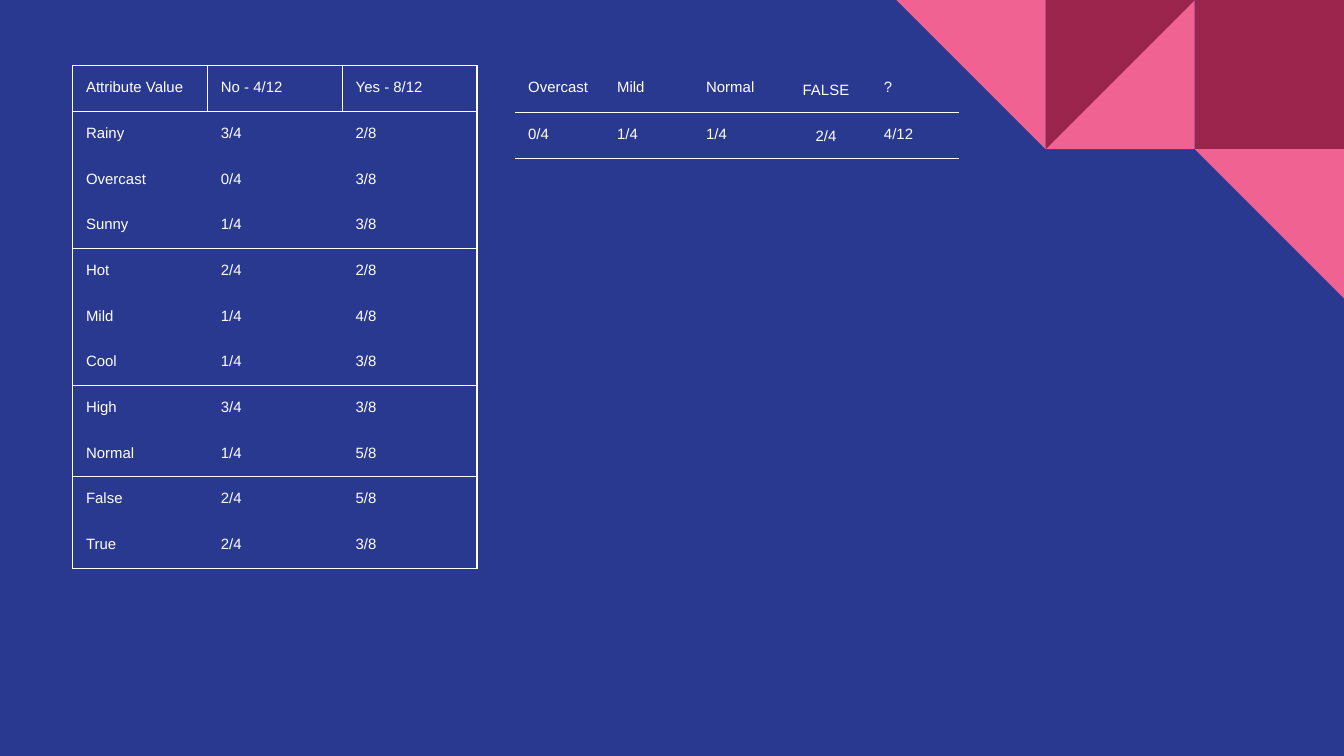
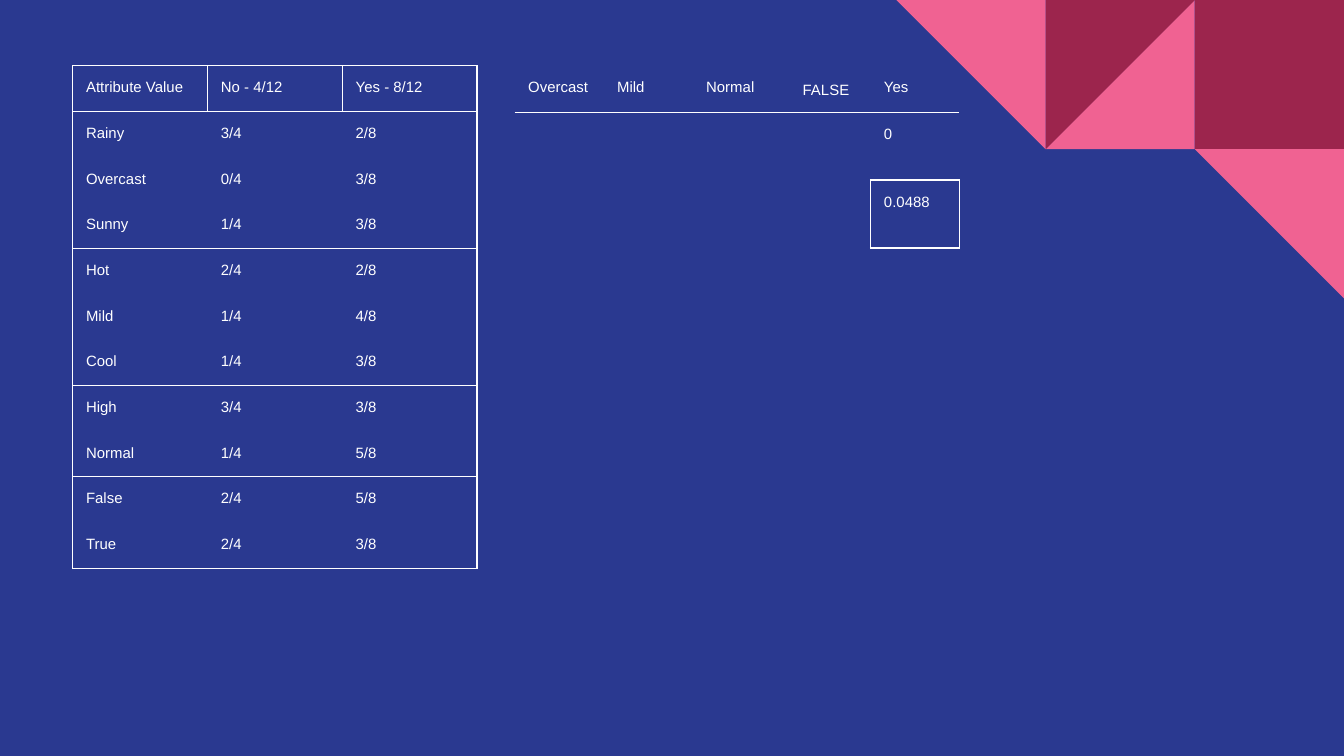
import pptx
import pptx.dml.color
import pptx.enum.shapes
import pptx.enum.text
import pptx.oxml
import pptx.oxml.ns
import pptx.util
from pptx.util import Inches

NAVY, PINK, WINE, WHITE = "2A3990", "F06292", "9C254D", "FFFFFF"
TILE = 1.11
SLIDE_W = 10
ROW_H = 0.34
NO_STYLE = "{2D5ABB26-0587-4C30-8999-92F81FD0307C}"
TEXT = {"size": pptx.util.Pt(8), "name": "Arial"}
MARGINS = dict.fromkeys(
    ("margin_left", "margin_right", "margin_top", "margin_bottom"), Inches(0.1))
CENTERED = {"alignment": pptx.enum.text.PP_ALIGN.CENTER, "line_spacing": 1.15}

HEADER = ["Attribute Value", "No - 4/12", "Yes - 8/12"]
ATTRIBUTES = [
    [["Rainy", "3/4", "2/8"], ["Overcast", "0/4", "3/8"], ["Sunny", "1/4", "3/8"]],
    [["Hot", "2/4", "2/8"], ["Mild", "1/4", "4/8"], ["Cool", "1/4", "3/8"]],
    [["High", "3/4", "3/8"], ["Normal", "1/4", "5/8"]],
    [["False", "2/4", "5/8"], ["True", "2/4", "3/8"]],
]
SAMPLE = ["Overcast", "Mild", "Normal", "FALSE"]


def color(value):
    return pptx.dml.color.RGBColor.from_string(value)


def apply(target, values):
    for name, value in values.items():
        setattr(target, name, value)


def add_tile(group, kind, col, row, fill, rotation=0, flip=False):
    left = SLIDE_W - (3 - col) * TILE
    sp = group.shapes.add_shape(kind, Inches(left), Inches(row * TILE),
                                Inches(TILE), Inches(TILE))
    sp.shadow.inherit = False
    sp.fill.solid()
    sp.fill.fore_color.rgb = color(fill)
    sp.line.fill.background()
    sp.rotation = rotation
    if flip:
        sp._element.spPr.xfrm.set("flipH", "1")


def add_corner(slide):
    shapes = pptx.enum.shapes.MSO_SHAPE
    triangle = shapes.RIGHT_TRIANGLE
    group = slide.shapes.add_group_shape()
    add_tile(group, shapes.RECTANGLE, 2, 0, WINE)
    add_tile(group, triangle, 1, 0, PINK, flip=True)
    add_tile(group, triangle, 1, 0, WINE, rotation=180, flip=True)
    add_tile(group, triangle, 0, 0, PINK, rotation=180)
    add_tile(group, triangle, 2, 1, PINK, rotation=180)


def set_borders(cell, sides):
    tcPr = cell._tc.get_or_add_tcPr()
    for side in "LRTB":
        fill = (f'<a:solidFill><a:srgbClr val="{WHITE}"/></a:solidFill>'
                if side in sides else "<a:noFill/>")
        tcPr.append(pptx.oxml.parse_xml(
            f'<a:ln{side} {pptx.oxml.ns.nsdecls("a")} '
            f'w="{pptx.util.Pt(0.75)}">{fill}</a:ln{side}>'))


def fill_cell(cell, text, sides, paragraph_format):
    apply(cell, MARGINS)
    set_borders(cell, sides)
    cell.fill.background()
    if text:
        p = cell.text_frame.paragraphs[0]
        apply(p, paragraph_format)
        r = p.add_run()
        r.text = text
        apply(r.font, TEXT)
        r.font.color.rgb = color(WHITE)


def add_table(slide, left, width, rows, borders, centered=()):
    cols = len(rows[0])
    frame = slide.shapes.add_table(len(rows), cols, Inches(left), Inches(0.49),
                                   Inches(width), Inches(ROW_H * len(rows)))
    table = frame.table
    apply(table, {"first_row": False, "horz_banding": False})
    table._tbl.tblPr.find(pptx.oxml.ns.qn("a:tableStyleId")).text = NO_STYLE
    for column in table.columns:
        column.width = Inches(width / cols)
    for i, row in enumerate(rows):
        table.rows[i].height = Inches(ROW_H)
        for j, text in enumerate(row):
            fill_cell(table.cell(i, j), text, borders[i][j],
                      CENTERED if j in centered else {})


def add_attribute_table(slide):
    rows, borders = [HEADER], [["LRTB"] * len(HEADER)]
    for group in ATTRIBUTES:
        for i, row in enumerate(group):
            ends = ("T" if i == 0 else "") + ("B" if i == len(group) - 1 else "")
            rows.append(row)
            borders.append(["L" + ends, ends, "R" + ends])
    add_table(slide, 0.54, 3.01, rows, borders)


def add_sample_table(slide, rows, borders):
    add_table(slide, 3.83, 3.31, rows, borders, centered=(3,))


def add_base_slide(prs):
    slide = prs.slides.add_slide(prs.slide_layouts[6])
    add_corner(slide)
    add_attribute_table(slide)
    return slide


def main():
    prs = pptx.Presentation()
    prs.slide_width, prs.slide_height = Inches(SLIDE_W), Inches(SLIDE_W * 9 / 16)
    background = prs.slide_master.background.fill
    background.solid()
    background.fore_color.rgb = color(NAVY)

    add_sample_table(
        add_base_slide(prs),
        [SAMPLE + ["?"], ["0/4", "1/4", "1/4", "2/4", "4/12"]],
        [["B"] * 5, ["TB"] * 5])
    add_sample_table(
        add_base_slide(prs),
        [SAMPLE + ["Yes"], [""] * 4 + ["0"], [""] * 4 + ["0.0488"]],
        [["B"] * 5, ["T"] * 4 + ["TB"], [""] * 3 + ["R", "LRTB"]])
    prs.save("out.pptx")


if __name__ == "__main__":
    main()
